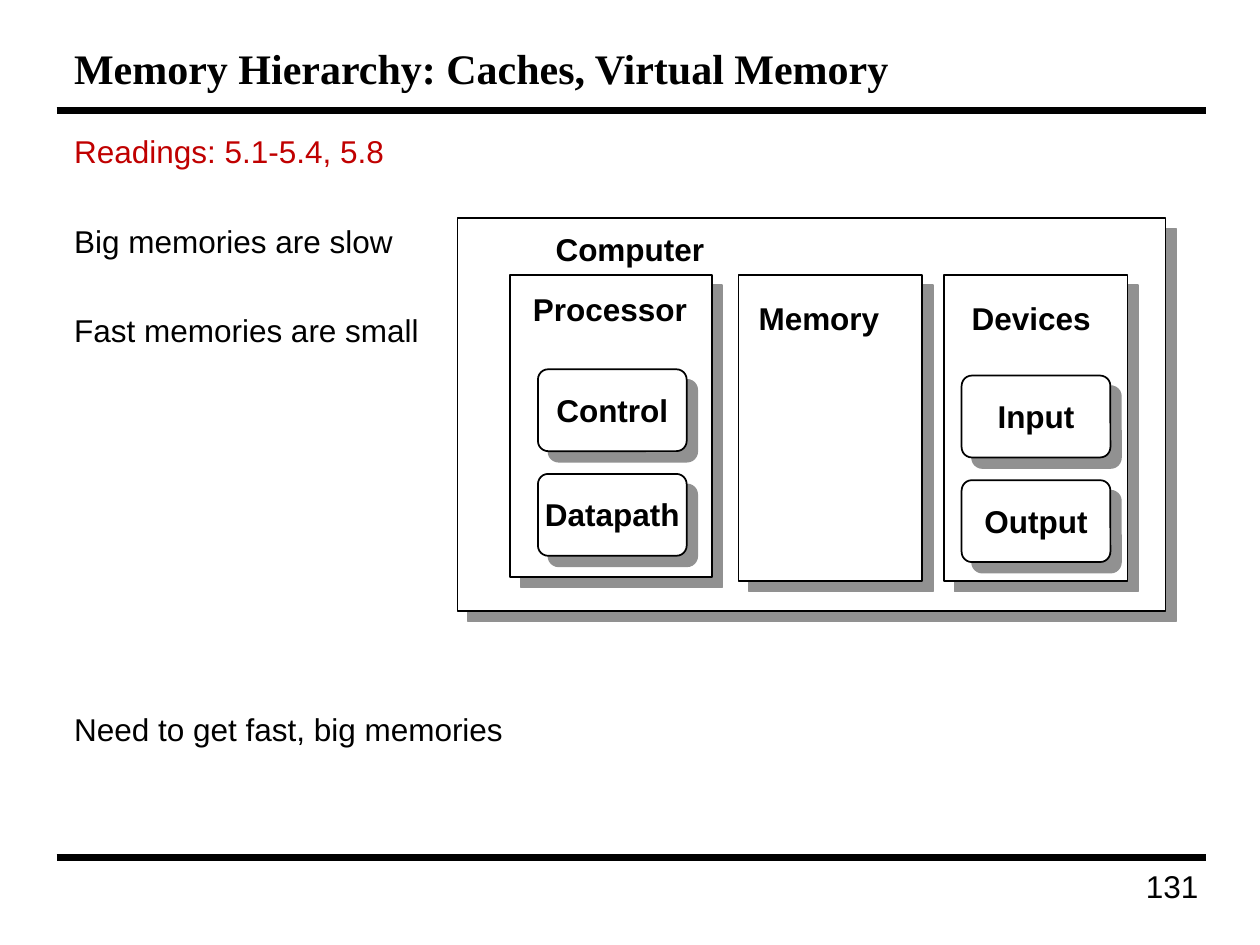
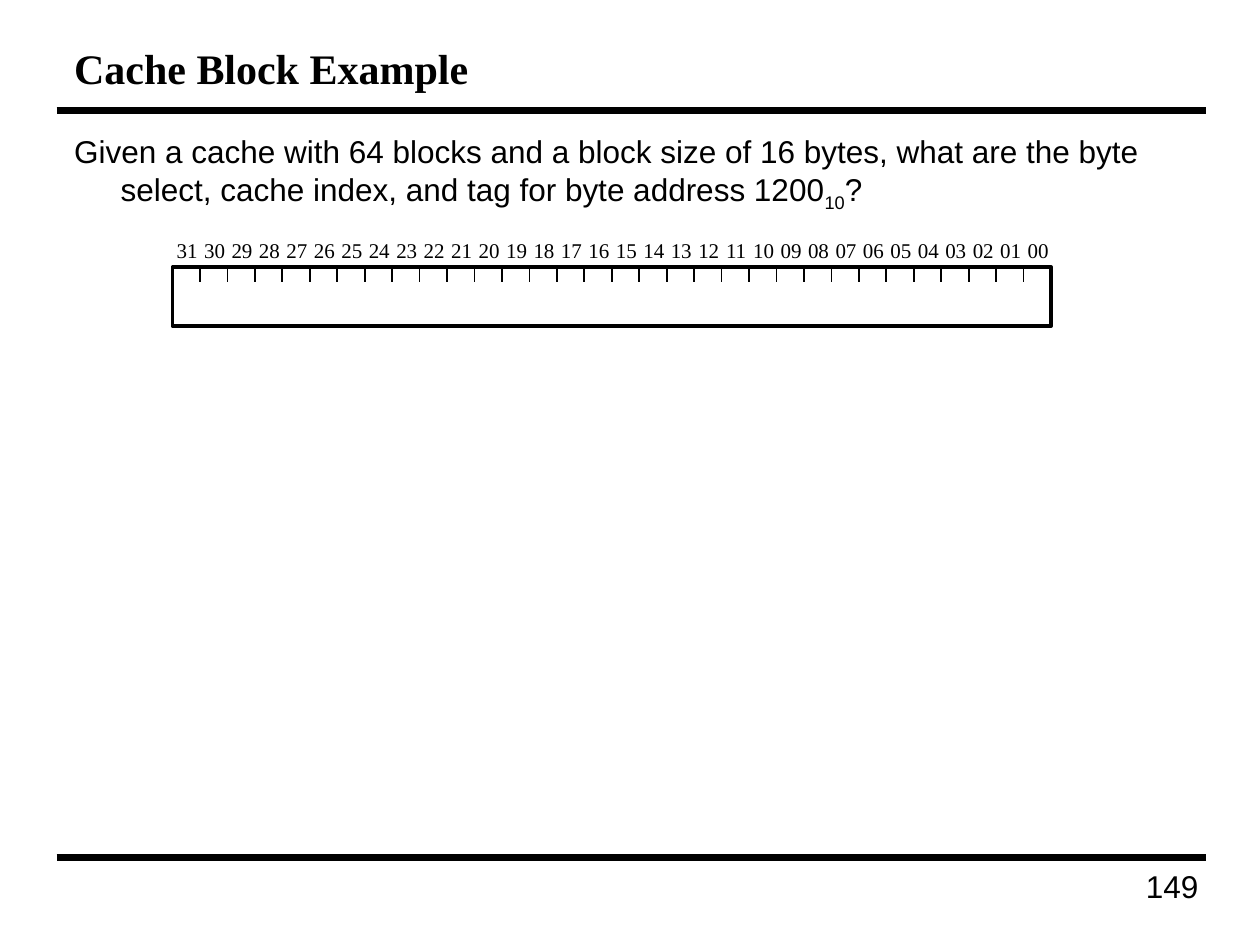
from lxml import etree
from pptx import Presentation
from pptx.dml.color import RGBColor
from pptx.enum.shapes import MSO_CONNECTOR, MSO_SHAPE
from pptx.enum.text import MSO_ANCHOR, PP_ALIGN
from pptx.oxml.ns import qn
from pptx.util import Pt

RECT, ROUNDED = MSO_SHAPE.RECTANGLE, MSO_SHAPE.ROUNDED_RECTANGLE
STRAIGHT = MSO_CONNECTOR.STRAIGHT
LEFT, CENTER, RIGHT = PP_ALIGN.LEFT, PP_ALIGN.CENTER, PP_ALIGN.RIGHT
TOP, MIDDLE = MSO_ANCHOR.TOP, MSO_ANCHOR.MIDDLE

BLACK, WHITE, RED, GRAY = "000000", "FFFFFF", "C00000", "919191"
SANS, SERIF = "Arial", "Times New Roman"
BODY_BOX = (35.3, 72, 651, 414)
HANGING = 26.6
LABEL_HEIGHT = 22.3


def color(code):
    return RGBColor.from_string(code)


# Shared drawing helpers
def add_line(shapes, x1, y1, x2, y2, weight):
    line = shapes.add_connector(STRAIGHT, Pt(x1), Pt(y1), Pt(x2), Pt(y2))
    line.line.color.rgb = color(BLACK)
    line.line.width = Pt(weight)
    etree.SubElement(line._element.spPr, qn("a:effectLst"))


def add_box(shapes, kind, left, top, width, height, weight=1):
    box = shapes.add_shape(kind, Pt(left), Pt(top), Pt(width), Pt(height))
    box.fill.solid()
    box.fill.fore_color.rgb = color(WHITE)
    box.line.color.rgb = color(BLACK)
    box.line.width = Pt(weight)
    box.shadow.inherit = False
    return box


def add_shadowed_box(shapes, kind, left, top, width, height):
    box = add_box(shapes, kind, left, top, width, height)
    effects = box._element.spPr.find(qn("a:effectLst"))
    shadow = etree.SubElement(effects, qn("a:outerShdw"), dist=str(Pt(8.5)),
                              dir="2700000", algn="ctr", rotWithShape="0")
    etree.SubElement(shadow, qn("a:srgbClr"), val=GRAY)
    return box


def style(para, size, font=SANS, bold=False, code=BLACK):
    para.font.size = Pt(size)
    para.font.name = font
    para.font.bold = bold
    para.font.color.rgb = color(code)


def add_frame(shapes, left, top, width, height, insets=(7.2, 3.6), anchor=TOP):
    box = shapes.add_textbox(Pt(left), Pt(top), Pt(width), Pt(height))
    frame = box.text_frame
    frame.word_wrap = True
    frame.vertical_anchor = anchor
    frame.margin_left = frame.margin_right = Pt(insets[0])
    frame.margin_top = frame.margin_bottom = Pt(insets[1])
    return frame


def add_text(frame, text, size, font=SANS, bold=False, align=LEFT):
    para = frame.paragraphs[0]
    para.text = text
    para.alignment = align
    style(para, size, font, bold)
    return para


def hang(para):
    props = para._p.get_or_add_pPr()
    props.set("marL", str(Pt(HANGING)))
    props.set("indent", str(-Pt(HANGING)))


# Title, rules and page number
def add_page(deck, title, number):
    page = deck.slides.add_slide(deck.slide_layouts[6])
    for y in (63.4, 490.3):
        add_line(page.shapes, 32.4, y, 689, y, 4)
    add_text(add_frame(page.shapes, 544.3, 491.8, 147.6, 35.3),
             str(number), 18, align=RIGHT)
    add_text(add_frame(page.shapes, 35.3, 18, 651, 41.8, anchor=MIDDLE),
             title, 24, SERIF, True)
    return page


# Reading list and key statements
def add_statements(page, box, statements):
    frame = add_frame(page.shapes, *box)
    for index, (text, gap, code) in enumerate(statements):
        para = frame.add_paragraph() if index else frame.paragraphs[0]
        para.text = text
        hang(para)
        para.space_before = Pt(gap)
        style(para, 18, code=code)


# Question with a subscript number base
def add_question(page, box, text, base):
    para = add_frame(page.shapes, *box).paragraphs[0]
    hang(para)
    for piece in (text, base, "?"):
        span = para.add_run()
        span.text = piece
        if piece == base:
            span.font._element.set("baseline", "-25000")
    style(para, 18)


# Computer block diagram
def add_label(shapes, text, left, top, width=108, align=LEFT):
    frame = add_frame(shapes, left, top, width, LABEL_HEIGHT, (5, 2.2))
    para = add_text(frame, text, 18, bold=True, align=align)
    para.line_spacing = 0.85


def add_component(shapes, box, name, name_at, units=(), units_at=(0, 0)):
    left, top, width, height = box
    add_shadowed_box(shapes, RECT, left, top, width, height)
    add_label(shapes, name, left + name_at[0], top + name_at[1])
    unit_width, unit_height, pitch, overhang = 85, 46.8, 59.8, 6.5
    for index, unit in enumerate(units):
        x = left + units_at[0]
        y = top + units_at[1] + index * pitch
        outline = add_shadowed_box(shapes, ROUNDED, x, y, unit_width, unit_height)
        outline.adjustments[0] = 0.125
        add_label(shapes, unit, x - overhang, y + 13.4,
                  unit_width + 2 * overhang, CENTER)


def add_computer(page, box):
    left, top, width, height = box
    shapes = page.shapes.add_group_shape().shapes
    add_shadowed_box(shapes, RECT, left, top, width, height)
    add_label(shapes, "Computer", left + 51.1, top + 7.9)
    row = top + 32.4
    add_component(shapes, (left + 30.2, row, 115.2, 172.8), "Processor",
                  (7.9, 10), ("Control", "Datapath"), (15.8, 54))
    add_component(shapes, (left + 160.6, row, 105, 175), "Memory", (6.5, 15.1))
    add_component(shapes, (left + 278, row, 105, 175), "Devices",
                  (10.8, 15.1), ("Input", "Output"), (10.1, 57.6))


# Address register with numbered bits
def add_register(page, box, bits=32):
    left, top, width, height = box
    pitch = width / bits
    shapes = page.shapes.add_group_shape().shapes
    add_box(shapes, RECT, left, top, width, height, 2.25)
    for index in range(bits + 1):
        x = left + index * pitch
        add_line(shapes, x, top, x, top + 8.6, 1)
    label_width = 26.6
    for index in range(bits):
        x = left + (index + 0.5) * pitch - label_width / 2 + 0.5
        frame = add_frame(page.shapes, x, top - 20.1, label_width, 21.6, (0, 3.6))
        add_text(frame, f"{bits - 1 - index:02d}", 12, SERIF, align=CENTER)


def main():
    deck = Presentation()
    deck.slide_width, deck.slide_height = Pt(720), Pt(540)

    page = add_page(deck, "Memory Hierarchy: Caches, Virtual Memory", 131)
    add_statements(page, BODY_BOX, (
        ("Readings: 5.1-5.4, 5.8", 0, RED),
        ("Big memories are slow", 29.6, BLACK),
        ("Fast memories are small", 29.6, BLACK),
        ("Need to get fast, big memories", 206.2, BLACK),
    ))
    add_computer(page, (261.4, 124.6, 404.6, 224.6))

    page = add_page(deck, "Cache Block Example", 149)
    add_question(page, BODY_BOX,
                 "Given a cache with 64 blocks and a block size of 16 bytes, "
                 "what are the byte select, cache index, and tag for byte "
                 "address 1200", "10")
    add_register(page, (98.6, 152.6, 502, 33.8))

    deck.save("out.pptx")


if __name__ == "__main__":
    main()
